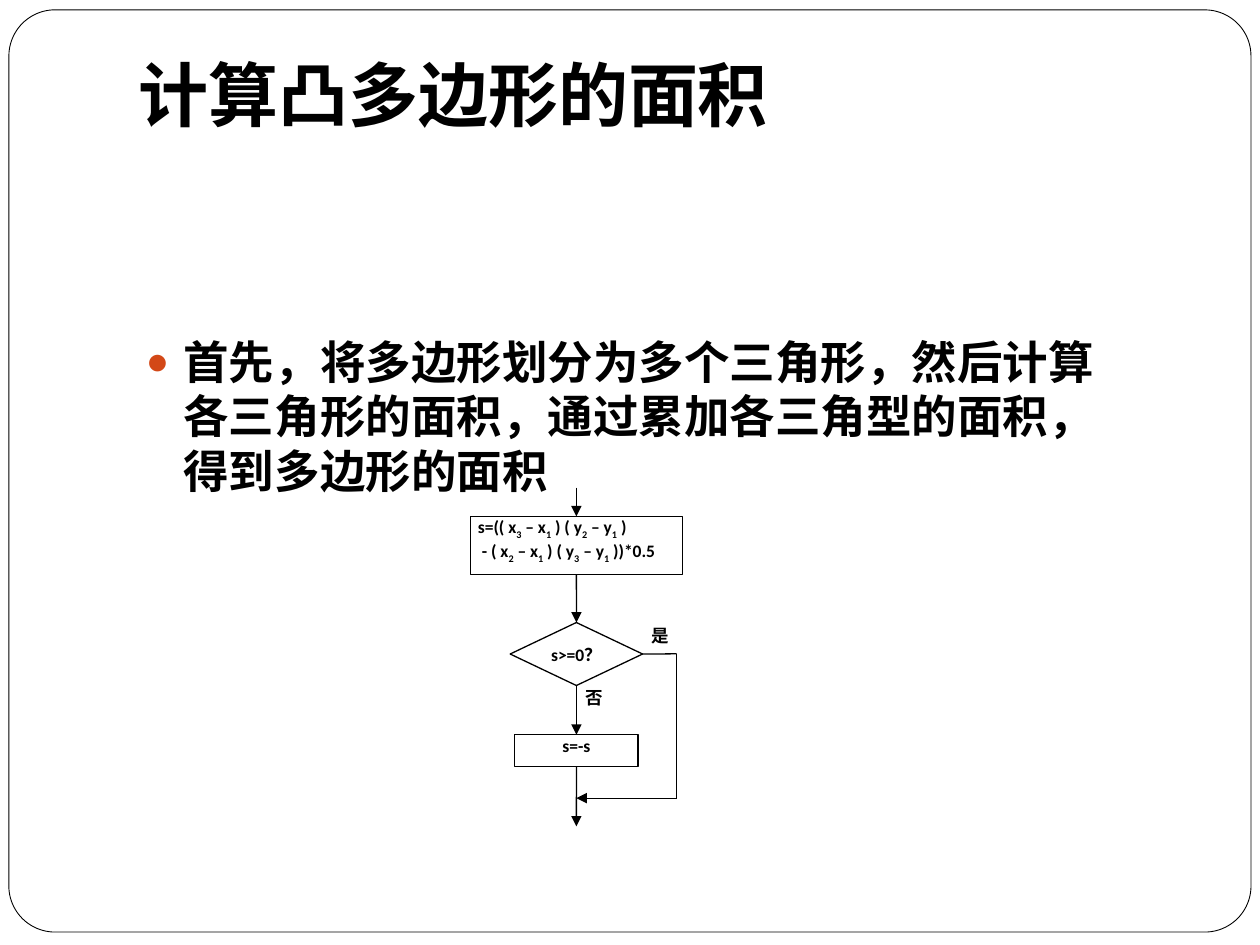
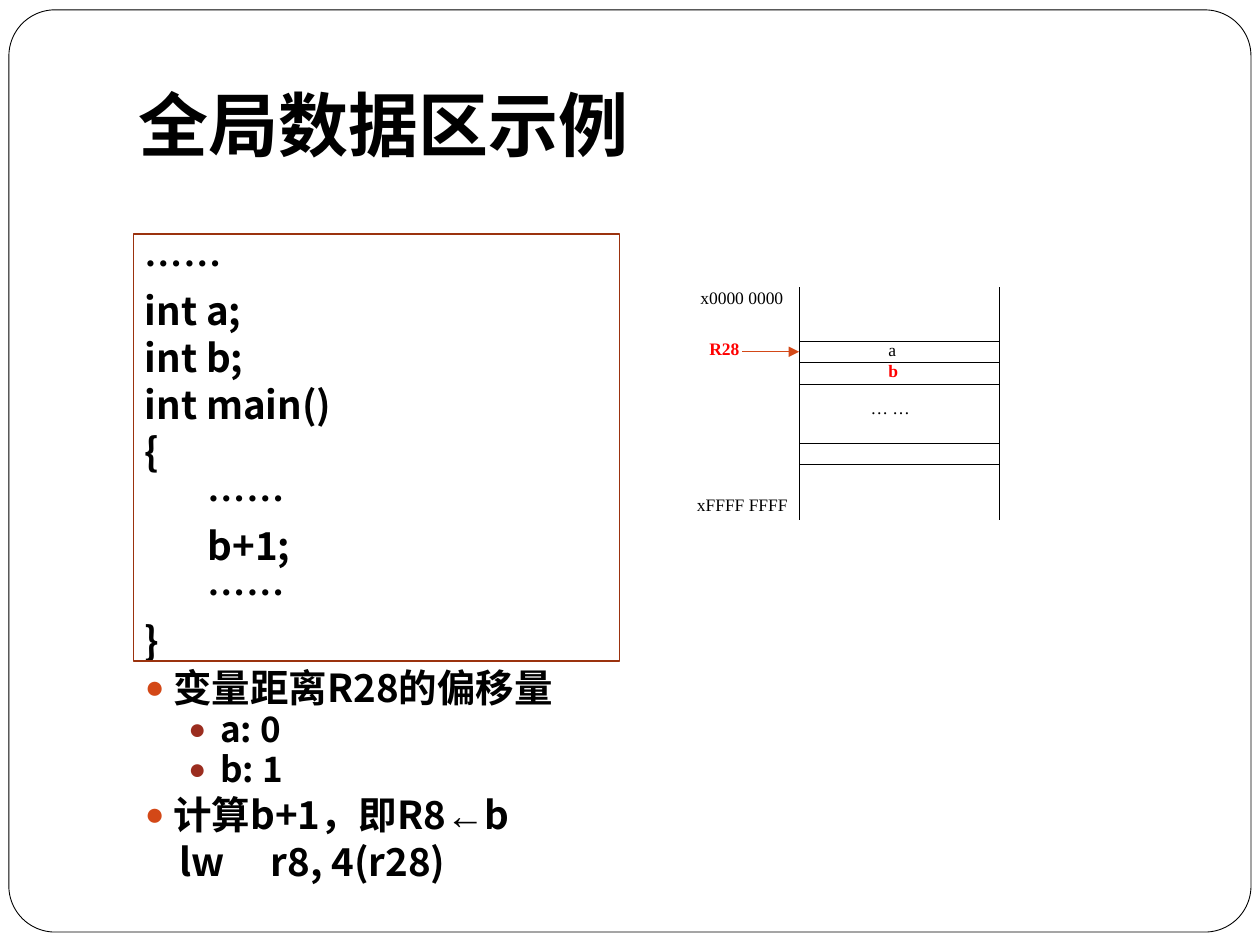
from dataclasses import dataclass
from typing import NamedTuple, Optional

import pptx
import pptx.dml.color
import pptx.enum.shapes
import pptx.enum.text
import pptx.oxml.ns
import pptx.util
from lxml import etree

Cm = pptx.util.Cm
Pt = pptx.util.Pt
RGBColor = pptx.dml.color.RGBColor
Preset = pptx.enum.shapes.MSO_SHAPE
Anchor = pptx.enum.text.MSO_ANCHOR
Align = pptx.enum.text.PP_ALIGN
qn = pptx.oxml.ns.qn

BLACK = RGBColor(0x00, 0x00, 0x00)
WHITE = RGBColor(0xFF, 0xFF, 0xFF)
RED = RGBColor(0xFF, 0x00, 0x00)
ORANGE = RGBColor(0xD3, 0x48, 0x17)
DARK_RED = RGBColor(0x9B, 0x2D, 0x1F)
BROWN = RGBColor(0x9B, 0x32, 0x0E)

CJK_FONT = "Noto Sans CJK SC"
FLOW_FONT = "Calibri"
MEMORY_FONT = "Times New Roman"
ARROW_FONT = "Arial"
LINE_RATIO = 1.2  # line height as a multiple of the text size


class Box(NamedTuple):
    """Left, top, width and height in centimetres."""
    left: float
    top: float
    width: float
    height: float

    def lengths(self) -> list:
        return [Cm(value) for value in self]


class Point(NamedTuple):
    x: float
    y: float


@dataclass(frozen=True)
class Bullet:
    color: RGBColor
    indent: float


@dataclass(frozen=True)
class BodyLine:
    text: str
    size: float = 22
    space_before: float = 5.8
    left: float = 0
    bullet: Optional[Bullet] = None


@dataclass(frozen=True)
class Label:
    text: str
    box: Box
    font: str
    bold: bool = False
    color: RGBColor = BLACK


@dataclass(frozen=True)
class Step:
    text: str
    preset: int
    top: float
    width: float
    height: float
    align: int = Align.CENTER
    anchor: int = Anchor.TOP


FRAME = Box(0.18, 0.2, 25.04, 18.59)
TITLE = Box(2.54, 0.91, 21.59, 3.18)


def style_run(run, font: str, size: float, bold: bool = True,
              color: RGBColor = BLACK, east_asian: str = CJK_FONT) -> None:
    run.font.name = font
    run.font.size = Pt(size)
    run.font.bold = bold
    run.font.color.rgb = color
    properties = run.font._element
    etree.SubElement(properties, qn("a:ea")).set("typeface", east_asian)


def set_margins(text_frame, horizontal: float, vertical: float) -> None:
    text_frame.margin_left = text_frame.margin_right = Cm(horizontal)
    text_frame.margin_top = text_frame.margin_bottom = Cm(vertical)


def add_outline(slide, preset: int, box: Box, width: float,
                color: RGBColor = BLACK):
    shape = slide.shapes.add_shape(preset, *box.lengths())
    shape.shadow.inherit = False
    shape.fill.background()
    shape.line.color.rgb = color
    shape.line.width = Pt(width)
    return shape


def add_line(slide, start: Point, end: Point, color: RGBColor = BLACK,
             arrow: bool = False):
    connector = slide.shapes.add_connector(
        pptx.enum.shapes.MSO_CONNECTOR.STRAIGHT,
        Cm(start.x), Cm(start.y), Cm(end.x), Cm(end.y))
    connector.line.color.rgb = color
    connector.line.width = Pt(0.75)
    if arrow:
        line = connector.line._get_or_add_ln()
        etree.SubElement(line, qn("a:tailEnd")).set("type", "triangle")
    etree.SubElement(connector._element.spPr, qn("a:effectLst"))
    return connector


def add_label(slide, label: Label) -> None:
    text_frame = slide.shapes.add_textbox(*label.box.lengths()).text_frame
    text_frame.word_wrap = True
    set_margins(text_frame, 0.05, 0)
    text_frame.text = label.text
    style_run(text_frame.paragraphs[0].runs[0], label.font, 10,
              label.bold, label.color)


def add_titled_slide(presentation, title_text: str, anchor: int):
    slide = presentation.slides.add_slide(presentation.slide_layouts[5])
    title = slide.shapes.title
    title.left, title.top, title.width, title.height = TITLE.lengths()
    text_frame = title.text_frame
    text_frame.text = title_text
    text_frame.auto_size = pptx.enum.text.MSO_AUTO_SIZE.NONE
    text_frame.vertical_anchor = anchor
    paragraph = text_frame.paragraphs[0]
    paragraph.alignment = Align.LEFT
    paragraph.line_spacing = Pt(40 * LINE_RATIO)
    style_run(paragraph.runs[0], CJK_FONT, 40)

    # Rounded page frame behind the title
    frame = add_outline(slide, Preset.ROUNDED_RECTANGLE, FRAME, 0.5)
    frame.adjustments[0] = 0.05
    frame.fill.solid()
    frame.fill.fore_color.rgb = WHITE
    title.element.addprevious(frame.element)
    return slide


def add_bullet(paragraph, left: float, bullet: Bullet) -> None:
    properties = paragraph._p.get_or_add_pPr()
    properties.set("marL", str(Cm(left)))
    properties.set("indent", str(-Cm(bullet.indent)))
    color = etree.SubElement(properties, qn("a:buClr"))
    etree.SubElement(color, qn("a:srgbClr")).set("val", str(bullet.color))
    etree.SubElement(properties, qn("a:buSzPct")).set("val", "85000")
    etree.SubElement(properties, qn("a:buFont")).set("typeface", "Arial")
    etree.SubElement(properties, qn("a:buChar")).set("char", "●")


def add_body(slide, box: Box, lines: list[BodyLine],
             spacing: float = 1.0) -> None:
    text_frame = slide.shapes.add_textbox(*box.lengths()).text_frame
    text_frame.word_wrap = True
    for index, line in enumerate(lines):
        paragraph = (text_frame.add_paragraph() if index
                     else text_frame.paragraphs[0])
        if line.bullet:
            add_bullet(paragraph, line.left, line.bullet)
        paragraph.line_spacing = Pt(round(line.size * LINE_RATIO * spacing, 1))
        paragraph.space_before = Pt(line.space_before if index else 0)
        # The arrow sign has its own font
        before, arrow, after = line.text.partition("←")
        for text in filter(None, (before, arrow, after)):
            run = paragraph.add_run()
            run.text = text
            font = ARROW_FONT if text == "←" else CJK_FONT
            style_run(run, font, line.size, east_asian=font)


def write_formula(paragraph, formula: str) -> None:
    """Write text in which _ marks the next digit as a subscript."""
    first, *rest = formula.split("_")
    pieces = [(first, False)]
    for part in rest:
        pieces += [(part[0], True), (part[1:], False)]
    for text, is_subscript in pieces:
        run = paragraph.add_run()
        run.text = text
        style_run(run, FLOW_FONT, 10)
        if is_subscript:
            run.font._element.set("baseline", "-25000")


def add_step(slide, step: Step, center_x: float):
    box = Box(center_x - step.width / 2, step.top, step.width, step.height)
    shape = add_outline(slide, step.preset, box, 0.75)
    text_frame = shape.text_frame
    text_frame.word_wrap = True
    text_frame.vertical_anchor = step.anchor
    set_margins(text_frame, 0.15, 0)
    for index, formula in enumerate(step.text.split("\n")):
        paragraph = (text_frame.add_paragraph() if index
                     else text_frame.paragraphs[0])
        paragraph.alignment = step.align
        write_formula(paragraph, formula)
    return shape


def build_polygon_slide(presentation) -> None:
    slide = add_titled_slide(presentation, "计算凸多边形的面积", Anchor.TOP)
    add_body(slide, Box(2.69, 6.6, 19.99, 11), [BodyLine(
        "首先，将多边形划分为多个三角形，然后计算各三角形的面积，"
        "通过累加各三角型的面积，得到多边形的面积",
        size=26, left=0.76, bullet=Bullet(ORANGE, 0.76))])

    # Flow chart steps
    center_x, bypass_x = 11.62, 13.64
    entry_y, decision_y, merge_y, exit_y = 9.83, 13.18, 16.09, 16.66
    steps = [
        Step("s=(( x_3 – x_1 ) ( y_2 – y_1 )\n"
             " - ( x_2 – x_1 ) ( y_3 – y_1 ))*0.5",
             Preset.RECTANGLE, 10.41, 4.27, 1.17, Align.LEFT),
        Step("s>=0？", Preset.FLOWCHART_DECISION, 12.55, 2.67, 1.27,
             anchor=Anchor.MIDDLE),
        Step("s=-s", Preset.RECTANGLE, 14.81, 2.49, 0.64),
    ]
    shapes = [add_step(slide, step, center_x) for step in steps]

    # Arrows down the middle
    entry, leave = Point(center_x, entry_y), Point(center_x, exit_y)
    for above, below in zip([None, *shapes], [*shapes, None]):
        arrow = add_line(slide, entry, leave, arrow=True)
        if above:
            arrow.begin_connect(above, 2)
        if below:
            arrow.end_connect(below, 0)

    # Branch that skips the sign change
    corner, turn = Point(bypass_x, decision_y), Point(bypass_x, merge_y)
    branch = add_line(slide, Point(center_x, decision_y), corner)
    branch.begin_connect(shapes[1], 3)
    add_line(slide, corner, turn)
    add_line(slide, turn, Point(center_x, merge_y), arrow=True)

    add_label(slide, Label("否", Box(11.76, 13.84, 0.89, 0.58), FLOW_FONT, True))
    add_label(slide, Label("是", Box(13.08, 12.59, 0.89, 0.58), FLOW_FONT, True))


def build_global_data_slide(presentation) -> None:
    slide = add_titled_slide(presentation, "全局数据区示例", Anchor.MIDDLE)

    # Code and explanation
    code = ["……", "int a;", "int b;", "int main()", "{",
            "\t……", "\tb+1;", "\t……", "}"]
    main_bullet = Bullet(ORANGE, 0.58)
    sub_bullet = Bullet(DARK_RED, 0.64)
    lines = [BodyLine(text) for text in code]
    lines.append(BodyLine("变量距离R28的偏移量", left=0.58, bullet=main_bullet))
    lines += [BodyLine(text, 20, 3.7, 1.52, sub_bullet)
              for text in ("a: 0", "b: 1")]
    lines.append(BodyLine("计算b+1，即R8←b", left=0.58, bullet=main_bullet))
    lines.append(BodyLine("    lw\tr8, 4(r28)"))
    add_body(slide, Box(2.67, 4.9, 11.35, 13.31), lines, spacing=0.8)

    # Memory map
    left, right, top, bottom = 16.11, 20.15, 5.79, 10.49
    for x in (left, right):
        add_line(slide, Point(x, top), Point(x, bottom))
    for y in (6.88, 7.31, 7.75, 8.94, 9.37):
        add_line(slide, Point(left, y), Point(right, y))
    add_line(slide, Point(14.96, 7.09), Point(left, 7.09), ORANGE, arrow=True)

    for label in (
        Label("a", Box(17.86, 6.83, 0.99, 0.51), MEMORY_FONT),
        Label("b", Box(17.86, 7.26, 0.99, 0.51), MEMORY_FONT, True, RED),
        Label("x0000 0000", Box(14.07, 5.79, 2.03, 0.64), MEMORY_FONT),
        Label("xFFFF FFFF", Box(14, 9.96, 2.13, 0.51), MEMORY_FONT),
        Label("R28", Box(14.25, 6.81, 0.74, 0.51), MEMORY_FONT, True, RED),
        Label("… …", Box(17.5, 8, 1.35, 0.51), MEMORY_FONT),
    ):
        add_label(slide, label)

    # Code border
    add_outline(slide, Preset.RECTANGLE, Box(2.69, 4.72, 9.8, 8.61), 1, BROWN)


def main() -> None:
    presentation = pptx.Presentation()
    presentation.slide_width, presentation.slide_height = Cm(25.4), Cm(19.05)
    build_polygon_slide(presentation)
    build_global_data_slide(presentation)
    presentation.save("out.pptx")


if __name__ == "__main__":
    main()
